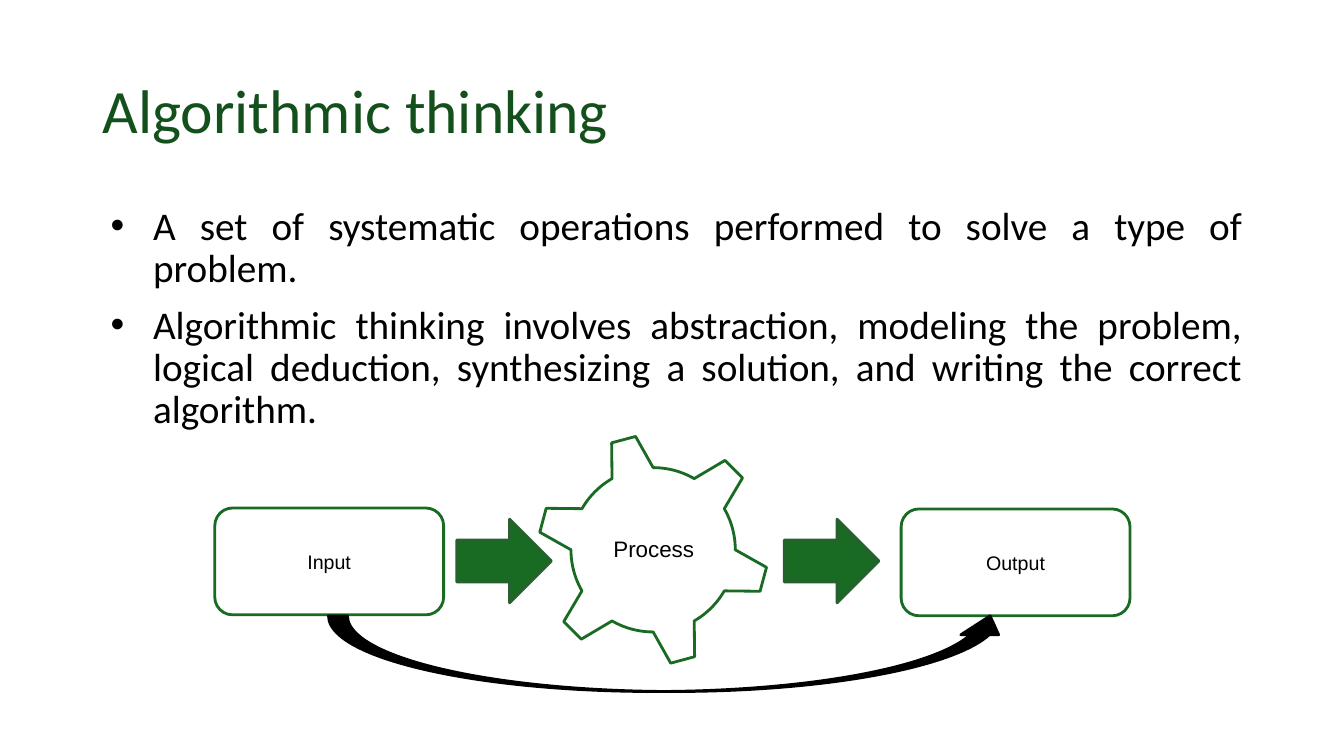
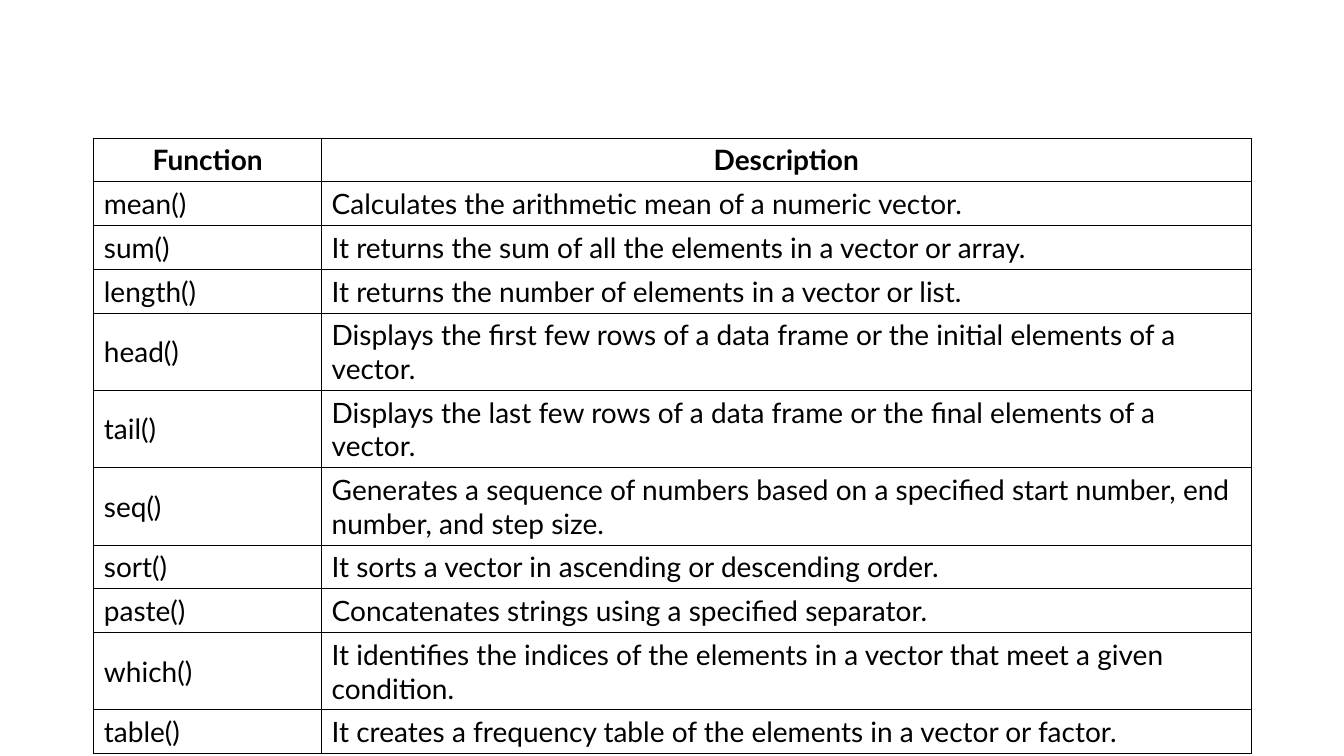
from math import cos, radians, sin

from lxml import etree
from pptx import Presentation
from pptx.dml.color import RGBColor
from pptx.enum.shapes import MSO_SHAPE
from pptx.enum.text import MSO_ANCHOR, PP_ALIGN
from pptx.oxml.ns import qn
from pptx.util import Inches, Pt

WIDTH, HEIGHT = Inches(13.333), Inches(7.5)
ROUNDED, ARROW, CURVED = (
    MSO_SHAPE.ROUNDED_RECTANGLE, MSO_SHAPE.RIGHT_ARROW, MSO_SHAPE.CURVED_UP_ARROW)
LEFT, CENTER, JUSTIFY = PP_ALIGN.LEFT, PP_ALIGN.CENTER, PP_ALIGN.JUSTIFY
TOP, MIDDLE = MSO_ANCHOR.TOP, MSO_ANCHOR.MIDDLE

BLACK, WHITE = "000000", "FFFFFF"
GREEN, TITLE_GREEN, ARROW_EDGE = "196B24", "13501B", "26612E"

POINTS = [
    "A set of systematic operations performed to solve a type of problem.",
    "Algorithmic thinking involves abstraction, modeling the problem, logical deduction, "
    "synthesizing a solution, and writing the correct algorithm.",
]
FUNCTIONS = [
    ("Function", "Description"),
    ("mean()", "Calculates the arithmetic mean of a numeric vector."),
    ("sum()", "It returns the sum of all the elements in a vector or array."),
    ("length()", "It returns the number of elements in a vector or list."),
    ("head()", "Displays the first few rows of a data frame or the initial elements of a vector."),
    ("tail()", "Displays the last few rows of a data frame or the final elements of a vector."),
    ("seq()", "Generates a sequence of numbers based on a specified start number, "
              "end number, and step size."),
    ("sort()", "It sorts a vector in ascending or descending order."),
    ("paste()", "Concatenates strings using a specified separator."),
    ("which()", "It identifies the indices of the elements in a vector that meet "
                "a given condition."),
    ("table()", "It creates a frequency table of the elements in a vector or factor."),
]


def color(value):
    return RGBColor.from_string(value)


def across(percent):
    return round(WIDTH * percent / 100)


def down(percent):
    return round(HEIGHT * percent / 100)


def area(left, top, width, height):
    return across(left), down(top), across(width), down(height)


def add_span(para, text, font, size, ink=BLACK, bold=False):
    span = para.add_run()
    span.text = text
    span.font.name = font
    span.font.size = Pt(size)
    span.font.bold = bold
    span.font.color.rgb = color(ink)


def add_bullet(para):
    properties = para._p.get_or_add_pPr()
    properties.set("marL", str(Inches(0.5)))
    properties.set("indent", str(Inches(-0.42)))
    etree.SubElement(properties, qn("a:buFont")).set("typeface", "Arial")
    etree.SubElement(properties, qn("a:buChar")).set("char", "•")


def add_text(page, place, lines, font, size, ink=BLACK, align=LEFT, anchor=MIDDLE, bullets=False):
    frame = page.shapes.add_textbox(*area(*place)).text_frame
    frame.word_wrap = True
    frame.vertical_anchor = anchor
    for index, line in enumerate(lines):
        para = frame.add_paragraph() if index else frame.paragraphs[0]
        if bullets:
            add_bullet(para)
        para.alignment = align
        para.line_spacing = 0.9
        para.space_before = Pt(10 if index else 0)
        add_span(para, line, font, size, ink)


def paint(shape, fill, edge):
    shape.shadow.inherit = False
    shape.fill.solid()
    shape.fill.fore_color.rgb = color(fill)
    shape.line.color.rgb = color(edge)
    shape.line.width = Pt(2)


def add_figure(page, kind, place, fill, edge):
    shape = page.shapes.add_shape(kind, *area(*place))
    paint(shape, fill, edge)
    return shape


def add_stage(page, left, top, label):
    box = add_figure(page, ROUNDED, (left, top, 17.03, 14.13), WHITE, GREEN)
    box.text_frame.word_wrap = True
    box.text_frame.vertical_anchor = MIDDLE
    para = box.text_frame.paragraphs[0]
    para.alignment = CENTER
    add_span(para, label, "Arial", 14)


def add_gear(page, center_x, center_y, hub, tip, teeth=6):
    def point(radius, degrees):
        angle = radians(degrees)
        return (round(across(center_x) + down(radius) * sin(angle)),
                round(down(center_y) - down(radius) * cos(angle)))

    pitch = 360 / teeth
    outline = []
    for tooth in range(teeth):
        middle = tooth * pitch - 15
        outline += [point(tip, middle - 6.2), point(tip, middle + 6.2)]
        outline += [point(hub, middle + 15 + step) for step in range(0, 31, 3)]
    builder = page.shapes.build_freeform(*outline[0])
    builder.add_line_segments(outline[1:], close=True)
    paint(builder.convert_to_shape(), WHITE, GREEN)


def add_borders(cell):
    properties = cell._tc.get_or_add_tcPr()
    for side in ("lnL", "lnR", "lnT", "lnB"):
        border = etree.SubElement(properties, qn(f"a:{side}"), w=str(Pt(0.75)))
        fill = etree.SubElement(border, qn("a:solidFill"))
        etree.SubElement(fill, qn("a:srgbClr")).set("val", BLACK)


def add_grid(page, left, top, columns, row_height, rows):
    place = area(left, top, sum(columns), row_height * len(rows))
    table = page.shapes.add_table(len(rows), len(columns), *place).table
    table.first_row = table.horz_banding = False
    for column, width in zip(table.columns, columns):
        column.width = across(width)
    for index, texts in enumerate(rows):
        header = index == 0
        table.rows[index].height = down(row_height)
        for cell, text in zip(table.rows[index].cells, texts):
            add_borders(cell)
            cell.fill.solid()
            cell.fill.fore_color.rgb = color(WHITE)
            cell.vertical_anchor = MIDDLE
            para = cell.text_frame.paragraphs[0]
            para.alignment = CENTER if header else LEFT
            add_span(para, text, "Lato", 20, bold=header)


def add_page(deck):
    page = deck.slides.add_slide(deck.slide_layouts[6])
    page.background.fill.solid()
    page.background.fill.fore_color.rgb = color(WHITE)
    return page


def add_thinking_page(deck):
    page = add_page(deck)
    add_text(page, (6.9, 5.33, 86.25, 19.33), ["Algorithmic thinking"],
             "Calibri", 44, TITLE_GREEN)
    add_text(page, (6.9, 26.67, 86.25, 63.47), POINTS, "Calibri", 28,
             align=JUSTIFY, anchor=TOP, bullets=True)
    add_stage(page, 15.98, 67.2, "Input")
    add_gear(page, 48.6, 72.73, hub=10.87, tip=15.17)
    add_text(page, (43.13, 64.13, 11.03, 17.33), ["Process"], "Arial", 16, align=CENTER)
    add_stage(page, 67.05, 67.33, "Output")
    for left in (33.98, 58.35):
        add_figure(page, ARROW, (left, 68.67, 7.05, 11.07), GREEN, ARROW_EDGE)
    add_figure(page, CURVED, (24.45, 81.47, 50.63, 10), BLACK, BLACK)


def add_functions_page(deck):
    add_grid(add_page(deck), 6.98, 18.27, (16.95, 69.15), 5.73, FUNCTIONS)


def main():
    deck = Presentation()
    deck.slide_width, deck.slide_height = WIDTH, HEIGHT
    add_thinking_page(deck)
    add_functions_page(deck)
    deck.save("out.pptx")


if __name__ == "__main__":
    main()
